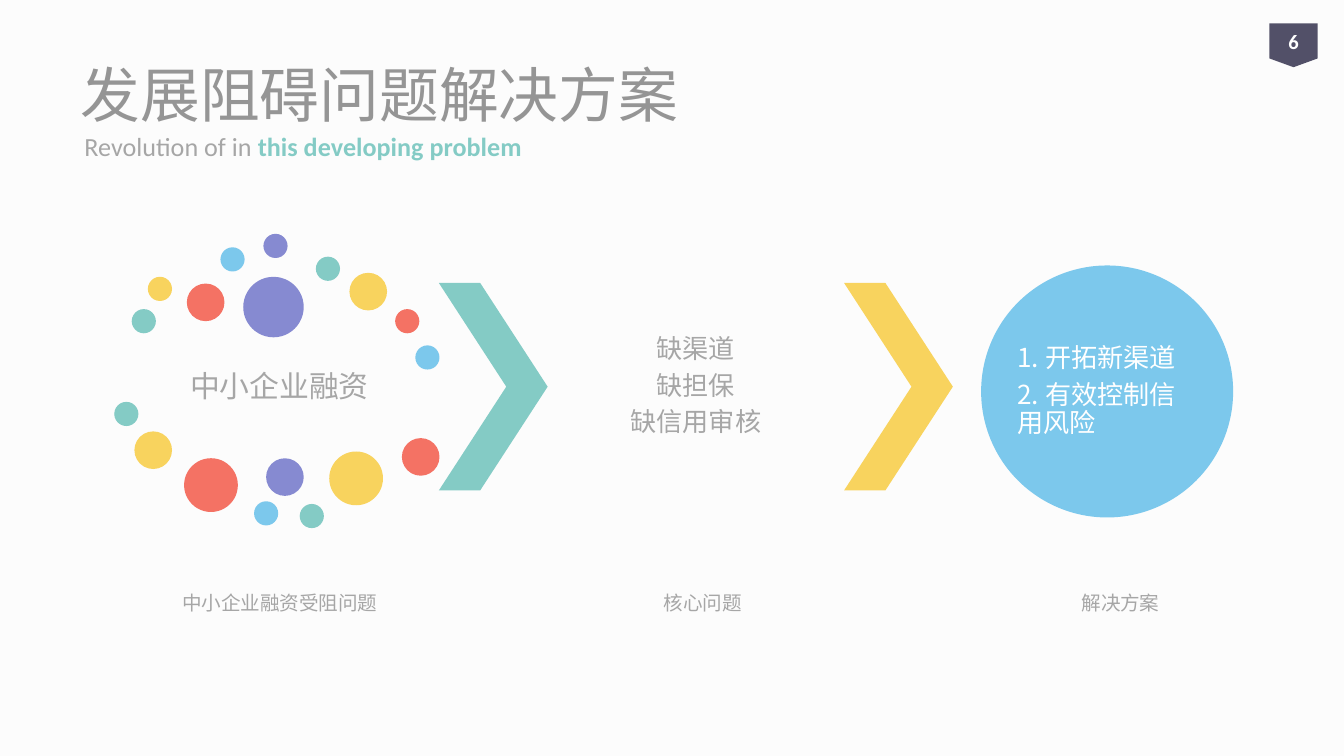
from pptx import Presentation
from pptx.dml.color import RGBColor
from pptx.enum.shapes import MSO_SHAPE as Shape
from pptx.enum.text import MSO_ANCHOR as Anchor, PP_ALIGN as Align
from pptx.oxml.ns import qn
from pptx.util import Emu, Pt
from lxml.etree import SubElement

PX = 4572
CJK = "Noto Sans CJK SC"
LATIN = "Calibri"
COLORS = {
    "background": "FCFCFC", "title": "959595", "grey": "A6A6A6", "white": "FFFFFF",
    "teal": "84CBC5", "yellow": "F8D35E", "red": "F47264", "blue": "7CC8EC",
    "purple": "868AD1", "navy": "525068",
}
DOTS = [
    (26, 112, 36, "teal"), (50, 64, 36, "yellow"), (108, 74, 56, "red"),
    (158, 20, 36, "blue"), (222, 0, 36, "purple"), (300, 34, 36, "teal"),
    (350, 58, 56, "yellow"), (418, 112, 36, "red"), (448, 166, 36, "blue"),
    (192, 64, 90, "purple"), (0, 250, 36, "teal"), (30, 294, 56, "yellow"),
    (104, 334, 80, "red"), (208, 398, 36, "blue"), (226, 334, 56, "purple"),
    (276, 402, 36, "teal"), (320, 324, 80, "yellow"), (428, 304, 56, "red"),
]


def emu(*lengths):
    return [Emu(length * PX) for length in lengths]


def rgb(name):
    return RGBColor.from_string(COLORS[name])


def write(frame, text, size=14, font=CJK, color="grey", bold=False, align=Align.LEFT,
          anchor=Anchor.MIDDLE, inset=None, tight=False, accent=None):
    frame.word_wrap = True
    frame.vertical_anchor = anchor
    if inset is not None:
        frame.margin_left, frame.margin_top, frame.margin_right, frame.margin_bottom = emu(*[inset] * 4)
    for index, line in enumerate(text.split("\n")):
        paragraph = frame.add_paragraph() if index else frame.paragraphs[0]
        paragraph.alignment = align
        if tight:
            paragraph.line_spacing = 0.9
            paragraph.space_after = Pt(round(size * 0.33, 1))
        parts = [(line, color, bold)]
        if accent:
            parts.append((accent, "teal", True))
        for words, tint, heavy in parts:
            run = paragraph.add_run()
            run.text = words
            run.font.size = Pt(size)
            run.font.name = font
            run.font.bold = heavy
            run.font.color.rgb = rgb(tint)
            SubElement(run.font._element, qn("a:ea"), typeface=font)


def add_text(slide, box, text, **style):
    write(slide.shapes.add_textbox(*emu(*box)).text_frame, text, **style)


def add_figure(slide, preset, box, color):
    figure = slide.shapes.add_shape(preset, *emu(*box))
    figure.shadow.inherit = False
    figure.fill.solid()
    figure.fill.fore_color.rgb = rgb(color)
    figure.line.fill.background()
    return figure


def add_heading(slide, box):
    left, top, width, height = box
    title = slide.shapes.title
    title.left, title.top, title.width, title.height = emu(*box)
    write(title.text_frame, "发展阻碍问题解决方案", size=32, color="title")
    add_text(slide, (left + 6, top + 132, 694, 80), "Revolution of in ",
             font=LATIN, accent="this developing problem")


def add_financing_ring(slide, box):
    left, top, width, height = box
    add_text(slide, (left + 26, top + 156, 440, 146), "中小企业融资",
             size=16, align=Align.CENTER, inset=4, tight=True)
    for x, y, diameter, color in DOTS:
        add_figure(slide, Shape.OVAL, (left + x, top + y, diameter, diameter), color)


def add_core_problems(slide, box):
    left, top, width, height = box
    arrow = 162
    for x, color in ((left, "teal"), (left + width - arrow, "yellow")):
        chevron = add_figure(slide, Shape.CHEVRON, (x, top, arrow, height), color)
        chevron.adjustments[0] = 0.62
    add_text(slide, (left + arrow, top, width - 2 * arrow, height), "缺渠道\n缺担保\n缺信用审核",
             align=Align.CENTER, inset=4, tight=True)


def add_solution(slide, box):
    left, top, width, height = box
    margin = 54
    add_figure(slide, Shape.OVAL, box, "blue")
    add_text(slide, (left + margin, top + margin, width - 2 * margin, height - 2 * margin),
             "1. 开拓新渠道\n2. 有效控制信用风险", color="white", inset=0, tight=True)


def add_captions(slide, box):
    left, top, width, height = box
    for x, span, caption in ((0, 492, "中小企业融资受阻问题"), (716, 174, "核心问题"), (1338, 166, "解决方案")):
        add_text(slide, (left + x, top, span, height), caption, size=10.5, anchor=Anchor.TOP)


def add_page_badge(slide, box):
    badge = add_figure(slide, Shape.FLOWCHART_OFFPAGE_CONNECTOR, box, "navy")
    write(badge.text_frame, "6", size=11, font=LATIN, color="white", bold=True,
          align=Align.CENTER, inset=0)


def main():
    deck = Presentation()
    deck.slide_width, deck.slide_height = emu(2000, 1125)
    slide = deck.slides.add_slide(deck.slide_layouts[5])
    slide.background.fill.solid()
    slide.background.fill.fore_color.rgb = rgb("background")
    add_heading(slide, (100, 46, 1766, 188))
    add_financing_ring(slide, (170, 348, 484, 438))
    add_core_problems(slide, (653, 421, 765, 309))
    add_solution(slide, (1460, 395, 375, 375))
    add_captions(slide, (252, 870, 1504, 56))
    add_page_badge(slide, (1889, 35, 72, 65))
    deck.save("out.pptx")


if __name__ == "__main__":
    main()
